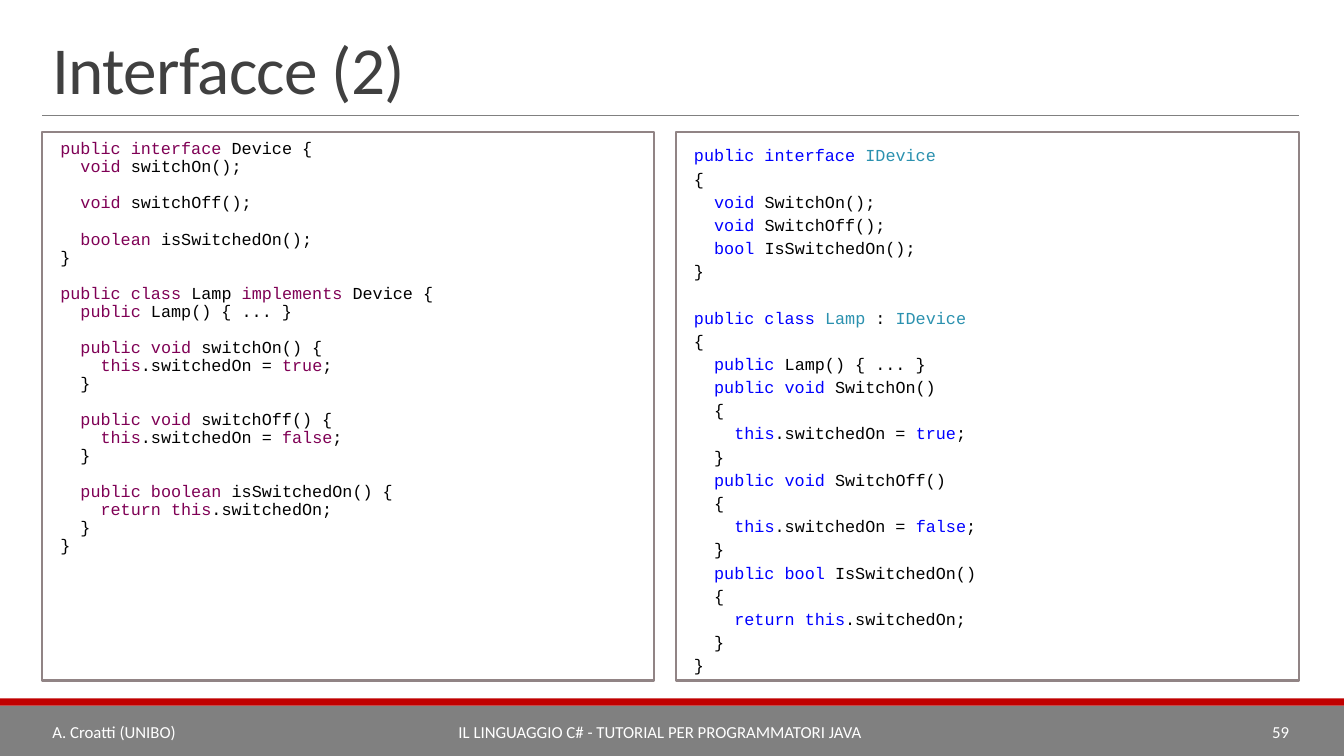
from dataclasses import dataclass
from itertools import groupby

from lxml import etree
from pptx import Presentation
from pptx import util as u
from pptx.dml.color import RGBColor
from pptx.enum import shapes, text
from pptx.oxml.ns import qn

JAVA_CODE = """public interface Device {
  void switchOn();

  void switchOff();

  boolean isSwitchedOn();
}

public class Lamp implements Device {
  public Lamp() { ... }

  public void switchOn() {
    this.switchedOn = true;
  }

  public void switchOff() {
    this.switchedOn = false;
  }

  public boolean isSwitchedOn() {
    return this.switchedOn;
  }
}"""

CSHARP_CODE = """public interface IDevice
{
  void SwitchOn();
  void SwitchOff();
  bool IsSwitchedOn();
}

public class Lamp : IDevice
{
  public Lamp() { ... }
  public void SwitchOn()
  {
    this.switchedOn = true;
  }
  public void SwitchOff()
  {
    this.switchedOn = false;
  }
  public bool IsSwitchedOn()
  {
    return this.switchedOn;
  }
}"""

KEYWORDS = set("public interface class implements void boolean bool this true false return".split())
CSHARP_TYPES = {"IDevice", "Lamp"}
BLACK = "000000"
MARGIN = 1.07
CONTENT_WIDTH = 31.67


@dataclass
class Bar:
    top: float
    height: float
    color: str


@dataclass
class CodePanel:
    left: float
    width: float
    code: str
    pitch: float
    top_inset: float
    keyword_color: str
    type_color: str
    types: set[str]


@dataclass
class FooterText:
    left: float
    width: float
    wording: str
    alignment: text.PP_ALIGN


BARS = [Bar(17.78, 1.27, "808080"), Bar(17.6, 0.18, "C00000")]
PANELS = [
    CodePanel(MARGIN, 15.42, JAVA_CODE, 12.9, 0.2, "7F0055", BLACK, set()),
    CodePanel(17.04, 15.7, CSHARP_CODE, 16.55, 0.25, "0000FF", "2B91AF", CSHARP_TYPES),
]
FOOTERS = [
    FooterText(MARGIN, 4.7, "A. Croatti (UNIBO)", text.PP_ALIGN.LEFT),
    FooterText(5.77, 21.74, "IL LINGUAGGIO C# - TUTORIAL PER PROGRAMMATORI JAVA", text.PP_ALIGN.CENTER),
    FooterText(27.51, 5.23, "59", text.PP_ALIGN.RIGHT),
]


def rgb(color: str) -> RGBColor:
    return RGBColor.from_string(color)


def style(font, name: str, size: float, color: str) -> None:
    font.name = name
    font.size = u.Pt(size)
    font.color.rgb = rgb(color)


def add_rectangle(slide, left: float, top: float, width: float, height: float, fill: str):
    shape = slide.shapes.add_shape(
        shapes.MSO_SHAPE.RECTANGLE, u.Cm(left), u.Cm(top), u.Cm(width), u.Cm(height))
    shape.shadow.inherit = False
    shape.fill.solid()
    shape.fill.fore_color.rgb = rgb(fill)
    shape.line.fill.background()
    return shape


def color_pieces(line: str, panel: CodePanel) -> list[tuple[str, str]]:
    words = ["".join(group) for _, group in groupby(line, str.isalnum)]
    colored = []
    color = BLACK
    for word, following in zip(words, words[1:] + [""]):
        if word in KEYWORDS:
            color = panel.keyword_color
        elif word in panel.types and not following.startswith("("):
            color = panel.type_color
        elif word.strip():
            color = BLACK
        colored.append((word, color))
    return [("".join(word for word, _ in group), color)
            for color, group in groupby(colored, lambda item: item[1])]


def add_code_panel(slide, panel: CodePanel) -> None:
    shape = add_rectangle(slide, panel.left, 3.33, panel.width, 13.82, "FFFFFF")
    shape.line.color.rgb = rgb("918485")
    shape.line.width = u.Pt(1.5)
    frame = shape.text_frame
    frame.word_wrap = True
    frame.vertical_anchor = text.MSO_ANCHOR.TOP
    frame.margin_left = u.Cm(0.45)
    frame.margin_top = u.Cm(panel.top_inset)
    frame.margin_right = frame.margin_bottom = u.Cm(0.2)
    paragraph = frame.paragraphs[0]
    gap = 0.0
    for index, line in enumerate(panel.code.splitlines()):
        if not line:
            gap = panel.pitch
            continue
        if index:
            paragraph = frame.add_paragraph()
        paragraph.alignment = text.PP_ALIGN.LEFT
        paragraph.line_spacing = u.Pt(panel.pitch)
        paragraph.space_before = u.Pt(gap)
        gap = 0.0
        for piece, color in color_pieces(line, panel):
            run = paragraph.add_run()
            run.text = piece
            style(run.font, "Courier New", 12, color)


def add_title(slide) -> None:
    title = slide.shapes.title
    title.left, title.top = u.Cm(MARGIN), u.Cm(0.79)
    title.width, title.height = u.Cm(CONTENT_WIDTH), u.Cm(2.06)
    title.text_frame.text = "Interfacce (2)"
    title.text_frame.vertical_anchor = text.MSO_ANCHOR.BOTTOM
    paragraph = title.text_frame.paragraphs[0]
    paragraph.alignment = text.PP_ALIGN.LEFT
    paragraph.line_spacing = 0.85
    run = paragraph.runs[0]
    style(run.font, "Calibri", 48, "404040")
    run.font._element.set("spc", "-50")


def add_title_rule(slide) -> None:
    rule = slide.shapes.add_connector(
        shapes.MSO_CONNECTOR.STRAIGHT, u.Cm(MARGIN), u.Cm(2.9),
        u.Cm(MARGIN + CONTENT_WIDTH), u.Cm(2.9))
    rule.line.color.rgb = rgb("808080")
    rule.line.width = u.Pt(0.5)
    etree.SubElement(rule._element.spPr, qn("a:effectLst"))


def add_footer(slide, footer: FooterText) -> None:
    box = slide.shapes.add_textbox(u.Cm(footer.left), u.Cm(17.93), u.Cm(footer.width), u.Cm(1.02))
    frame = box.text_frame
    frame.word_wrap = True
    frame.vertical_anchor = text.MSO_ANCHOR.MIDDLE
    frame.text = footer.wording
    paragraph = frame.paragraphs[0]
    paragraph.alignment = footer.alignment
    style(paragraph.runs[0].font, "Calibri", 12, "FFFFFF")


def main() -> None:
    presentation = Presentation()
    presentation.slide_width, presentation.slide_height = u.Cm(33.87), u.Cm(19.05)
    slide = presentation.slides.add_slide(presentation.slide_layouts[5])
    for bar in BARS:
        add_rectangle(slide, 0, bar.top, 33.87, bar.height, bar.color)
    add_title_rule(slide)
    add_title(slide)
    for panel in PANELS:
        add_code_panel(slide, panel)
    for footer in FOOTERS:
        add_footer(slide, footer)
    presentation.save("out.pptx")


if __name__ == "__main__":
    main()
